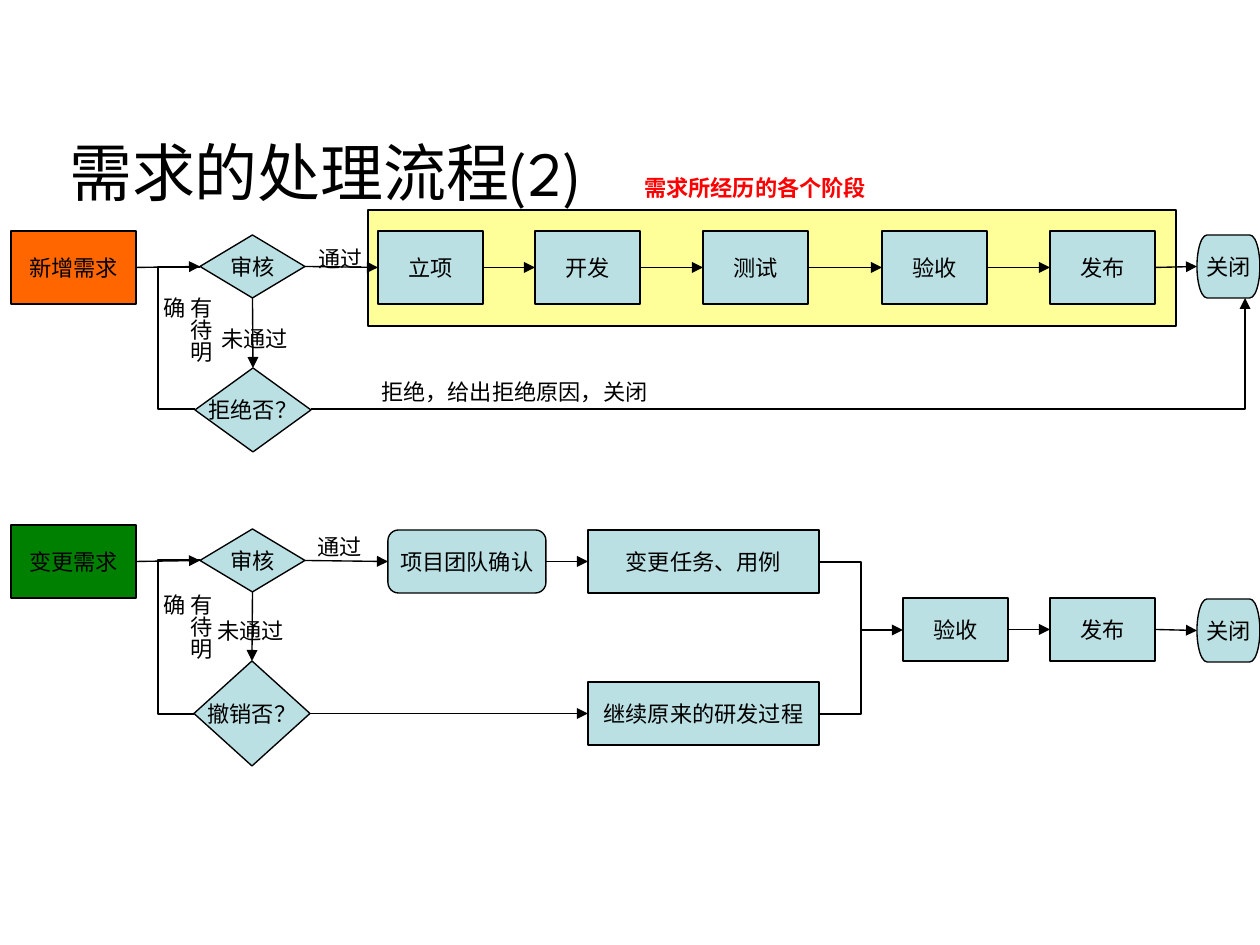
from lxml import etree
from pptx import Presentation
from pptx.dml.color import RGBColor
from pptx.enum.shapes import MSO_CONNECTOR, MSO_SHAPE
from pptx.enum.text import MSO_ANCHOR, MSO_AUTO_SIZE, PP_ALIGN
from pptx.oxml.ns import qn
from pptx.util import Pt

PX = 6858  # EMU per px
PROCESS = MSO_SHAPE.FLOWCHART_PROCESS
DECISION = MSO_SHAPE.FLOWCHART_DECISION
TERMINATOR = MSO_SHAPE.FLOWCHART_TERMINATOR
ROUNDED = MSO_SHAPE.FLOWCHART_ALTERNATE_PROCESS
RECTANGLE = MSO_SHAPE.RECTANGLE
STRAIGHT, ELBOW = MSO_CONNECTOR.STRAIGHT, MSO_CONNECTOR.ELBOW
LEFT, CENTER = PP_ALIGN.LEFT, PP_ALIGN.CENTER
TOP_ANCHOR, MIDDLE = MSO_ANCHOR.TOP, MSO_ANCHOR.MIDDLE
FIT_SHAPE, NO_FIT = MSO_AUTO_SIZE.SHAPE_TO_FIT_TEXT, MSO_AUTO_SIZE.NONE
TOP, LEFT_SIDE, BOTTOM, RIGHT_SIDE = range(4)
BLACK, RED, BLUE = "000000", "FF0000", "BBE0E3"
ORANGE, GREEN, YELLOW = "FF6600", "008000", "FFFF99"
color = RGBColor.from_string


def write_text(shape, text, size=12, font="Arial", ink=BLACK, bold=False,
               align=LEFT, anchor=TOP_ANCHOR, wrap=True, fit=NO_FIT):
    frame = shape.text_frame
    frame.word_wrap = wrap
    frame.auto_size = fit
    frame.vertical_anchor = anchor
    paragraph = frame.paragraphs[0]
    paragraph.alignment = align
    run = paragraph.add_run()
    run.text = text
    run.font.size = Pt(size)
    run.font.name = font
    run.font.bold = bold
    run.font.color.rgb = color(ink)


def draw_connector(kind, begin, end, arrow=True):
    connector = slide.shapes.add_connector(
        kind, *(value * PX for value in (*begin, *end)))
    connector.line.color.rgb = color(BLACK)
    connector.line.width = Pt(0.75)
    if arrow:
        line = connector.line._get_or_add_ln()
        etree.SubElement(line, qn("a:tailEnd"), type="triangle")
    etree.SubElement(connector._element.spPr, qn("a:effectLst"))
    return connector


presentation = Presentation()
presentation.slide_width = 1260 * PX
presentation.slide_height = 945 * PX
slide = presentation.slides.add_slide(presentation.slide_layouts[6])

# Flow steps: name, preset, text, fill, left, top, width, height
steps = [
    ("stage_frame", RECTANGLE, "", YELLOW, 368, 210, 808, 116),
    ("new", PROCESS, "新增需求", ORANGE, 11, 231, 125, 73),
    ("new_review", DECISION, "审核", BLUE, 200, 235, 105, 63),
    ("reject", DECISION, "拒绝否？", BLUE, 195, 368, 116, 84),
    ("new_close", TERMINATOR, "关闭", BLUE, 1197, 235, 63, 63),
    ("change", PROCESS, "变更需求", GREEN, 11, 525, 125, 73),
    ("change_review", DECISION, "审核", BLUE, 200, 529, 105, 63),
    ("revoke", DECISION, "撤销否？", BLUE, 194, 661, 116, 105),
    ("team", ROUNDED, "项目团队确认", BLUE, 388, 530, 158, 63),
    ("tasks", PROCESS, "变更任务、用例", BLUE, 588, 530, 231, 63),
    ("continue", PROCESS, "继续原来的研发过程", BLUE, 588, 682, 231, 63),
    ("change_accept", PROCESS, "验收", BLUE, 903, 598, 105, 63),
    ("change_release", PROCESS, "发布", BLUE, 1050, 598, 105, 63),
    ("change_close", TERMINATOR, "关闭", BLUE, 1197, 599, 63, 63),
]
stages = [("立项", 378), ("开发", 535), ("测试", 703), ("验收", 882), ("发布", 1050)]
steps += [(text, PROCESS, text, BLUE, left, 231, 105, 73) for text, left in stages]

shapes = {}
for name, preset, text, fill, *box in steps:
    shape = slide.shapes.add_shape(preset, *(value * PX for value in box))
    shape.shadow.inherit = False
    shape.fill.solid()
    shape.fill.fore_color.rgb = color(fill)
    shape.line.color.rgb = color(BLACK)
    shape.line.width = Pt(0.75)
    if text:
        write_text(shape, text, align=CENTER, anchor=MIDDLE, wrap=False)
    shapes[name] = shape

# Straight arrows: left to right along each row, then down from each review
rows = [
    ["new", "new_review", *(text for text, left in stages), "new_close"],
    ["change", "change_review", "team", "tasks"],
    ["revoke", "continue"],
    ["change_accept", "change_release", "change_close"],
]
links = [(source, RIGHT_SIDE, target, LEFT_SIDE)
         for row in rows for source, target in zip(row, row[1:])]
links += [("new_review", BOTTOM, "reject", TOP),
          ("change_review", BOTTOM, "revoke", TOP)]
for source, source_side, target, target_side in links:
    connector = draw_connector(STRAIGHT, (0, 0), (0, 0))
    connector.begin_connect(shapes[source], source_side)
    connector.end_connect(shapes[target], target_side)

# Bent lines: begin, end, x of the vertical part, arrow
bends = [
    ((311, 409), (1245, 298), 1245, True),
    ((195, 409), (200, 267), 158, False),
    ((194, 714), (200, 560), 158, False),
    ((819, 562), (903, 630), 861, True),
    ((819, 714), (861, 630), 861, False),
]
for begin, end, turn, arrow in bends:
    connector = draw_connector(ELBOW, begin, end, arrow)
    geometry = connector._element.spPr.find(qn("a:prstGeom"))
    if turn == end[0]:
        geometry.set("prst", "bentConnector2")
    else:
        share = round((turn - begin[0]) / (end[0] - begin[0]) * 100000)
        etree.SubElement(geometry.find(qn("a:avLst")), qn("a:gd"),
                         name="adj1", fmla=f"val {share}")

# Title and labels: text, left, top, width, height, format
label = {"fit": FIT_SHAPE}
texts = [
    ("需求的处理流程(2)", 56, 107, 1132, 129,
     {"size": 34, "font": "League Spartan", "anchor": MIDDLE}),
    ("需求所经历的各个阶段", 631, 168, 304, 40, {"ink": RED, "bold": True, **label}),
    ("通过", 305, 239, 73, 40, label),
    ("通过", 304, 527, 73, 40, label),
    ("未通过", 208, 319, 105, 40, label),
    ("未通过", 204, 611, 105, 40, label),
    ("拒绝，给出拒绝原因，关闭", 368, 372, 409, 40, label),
]
for text, *box, style in texts:
    shape = slide.shapes.add_textbox(*(value * PX for value in box))
    write_text(shape, text, **style)

# Vertical labels beside the return loops
for left, top in [(168, 284), (168, 581)]:
    shape = slide.shapes.add_textbox(left * PX, top * PX, 53 * PX, 112 * PX)
    write_text(shape, "有待明确", **label)
    frame = shape.text_frame
    frame.margin_left = frame.margin_right = 7 * PX
    frame.margin_top = frame.margin_bottom = 13 * PX
    frame._txBody.bodyPr.set("vert", "eaVert")

presentation.save("out.pptx")
